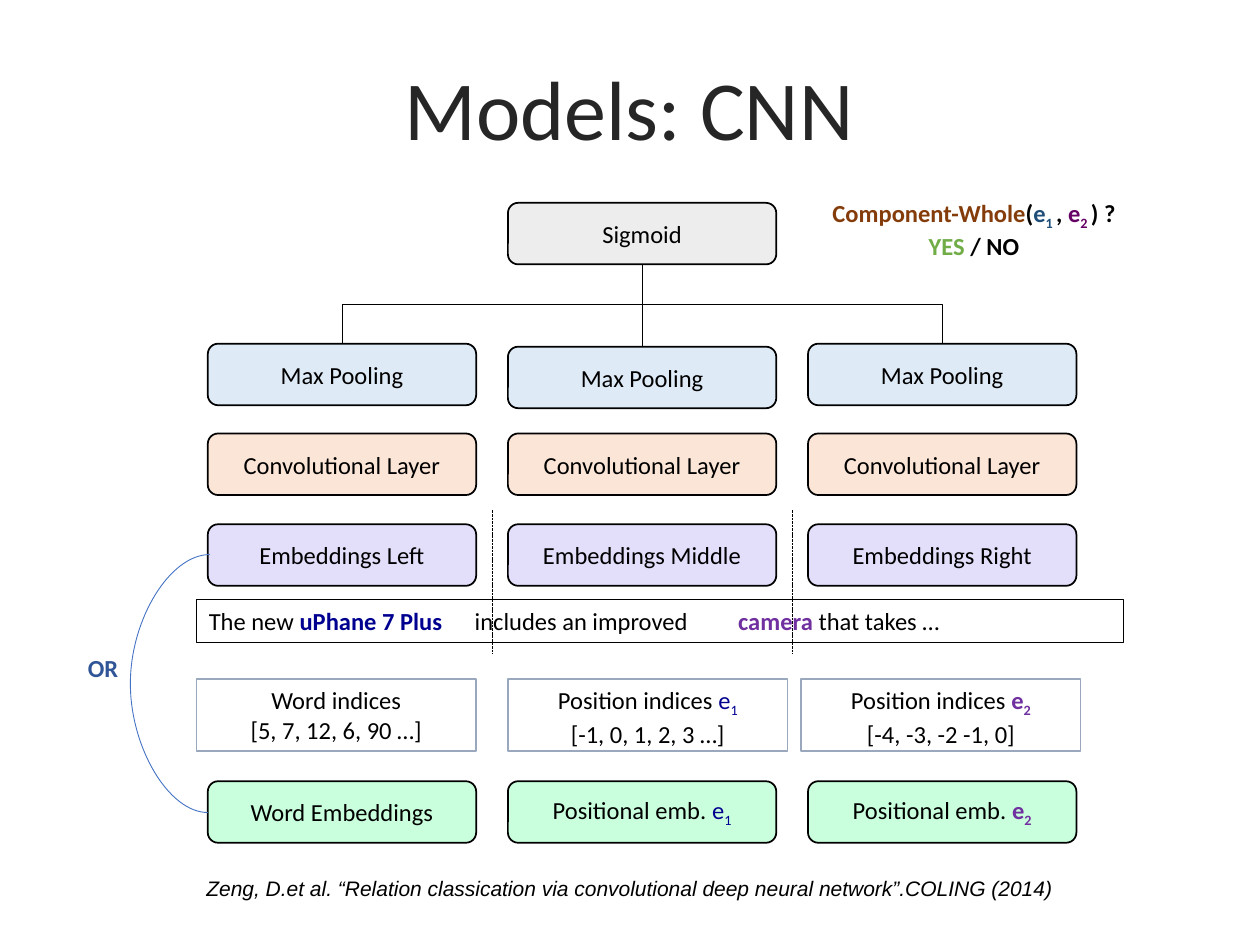
import pptx
import pptx.util
import pptx.dml.color
import pptx.enum.dml
import pptx.enum.shapes
import pptx.enum.text
import pptx.oxml.ns
import pptx.oxml.xmlchemy
import pptx.shapes.connector

Cm = pptx.util.Cm
Pt = pptx.util.Pt
RGB = pptx.dml.color.RGBColor
SHAPE = pptx.enum.shapes.MSO_SHAPE
CONNECTOR = pptx.enum.shapes.MSO_CONNECTOR
ALIGN = pptx.enum.text.PP_ALIGN
ANCHOR = pptx.enum.text.MSO_ANCHOR
qn = pptx.oxml.ns.qn
OxmlElement = pptx.oxml.xmlchemy.OxmlElement

BLACK = RGB(0x00, 0x00, 0x00)
TITLE = RGB(0x26, 0x26, 0x26)
GREY = RGB(0xED, 0xED, 0xED)
PALE_BLUE = RGB(0xDE, 0xEB, 0xF7)
PEACH = RGB(0xFB, 0xE5, 0xD6)
LAVENDER = RGB(0xE3, 0xDF, 0xFB)
MINT = RGB(0xCA, 0xFF, 0xDD)
SLATE = RGB(0x99, 0xA8, 0xBD)
BLUE = RGB(0x44, 0x72, 0xC4)
OR_BLUE = RGB(0x2F, 0x55, 0x97)
NAVY = RGB(0x00, 0x00, 0x90)
PURPLE = RGB(0x70, 0x30, 0xA0)
BROWN = RGB(0x84, 0x3C, 0x0B)
STEEL = RGB(0x1F, 0x4E, 0x79)
PLUM = RGB(0x66, 0x00, 0x66)
GREEN = RGB(0x70, 0xAD, 0x47)

prs = pptx.Presentation()
prs.slide_width, prs.slide_height = Cm(25.4), Cm(19.05)
slide = prs.slides.add_slide(prs.slide_layouts[6])
shapes = slide.shapes


def write(sp, *lines, size=14, font="Calibri", color=BLACK, bold=False, italic=False,
          align=ALIGN.CENTER, anchor=ANCHOR.TOP, wrap=True, tabs=()):
    """Fill sp with lines; a line is a string or a list of (text, format changes)."""
    tf = sp.text_frame
    tf.word_wrap = wrap
    tf.vertical_anchor = anchor
    for i, line in enumerate(lines):
        p = tf.paragraphs[0] if i == 0 else tf.add_paragraph()
        p.alignment = align
        if tabs:
            tab_list = OxmlElement("a:tabLst")
            p._p.get_or_add_pPr().append(tab_list)
            for pos in tabs:
                tab = OxmlElement("a:tab")
                tab.set("pos", str(Cm(pos)))
                tab.set("algn", "l")
                tab_list.append(tab)
        for text, change in [(line, {})] if isinstance(line, str) else line:
            r = p.add_run()
            r.text = text
            r.font.name, r.font.size, r.font.italic = font, Pt(size), italic
            r.font.bold = change.get("bold", bold)
            r.font.color.rgb = change.get("color", color)
            if change.get("sub"):
                r._r.get_or_add_rPr().set("baseline", "-25000")


def style(sp, line, width, fill=None):
    """Set outline and fill, and take the theme shadow off a shape or connector."""
    sp.line.color.rgb = line
    sp.line.width = Pt(width)
    if isinstance(sp, pptx.shapes.connector.Connector):
        sp._element.spPr.append(OxmlElement("a:effectLst"))
        return
    sp.shadow.inherit = False
    if fill is None:
        sp.fill.background()
    else:
        sp.fill.solid()
        sp.fill.fore_color.rgb = fill


e1 = [("e", {"color": NAVY}), ("1", {"color": NAVY, "sub": True})]
e2 = [("e", {"color": PURPLE, "bold": True}),
      ("2", {"color": PURPLE, "bold": True, "sub": True})]

# Network layers, three columns each
LEFT, PITCH, BOX_W, BOX_H = 4.19, 6.05, 5.41, 1.24
SIGMOID_Y, POOL_Y = 4.09, 6.93
layers = [
    (10.57, LAVENDER, ["Embeddings Left", "Embeddings Middle", "Embeddings Right"]),
    (8.74, PEACH, ["Convolutional Layer"] * 3),
    (POOL_Y, PALE_BLUE, ["Max Pooling"] * 3),
    (SIGMOID_Y, GREY, [None, "Sigmoid", None]),
    (15.75, MINT, ["Word Embeddings", [("Positional emb. ", {})] + e1,
                   [("Positional emb. ", {})] + e2]),
]
boxes = {}
for y, fill, labels in layers:
    for col, label in enumerate(labels):
        if label is None:
            continue
        top = y + 0.06 if (y, col) == (POOL_Y, 1) else y
        sp = shapes.add_shape(SHAPE.ROUNDED_RECTANGLE, Cm(LEFT + col * PITCH), Cm(top),
                              Cm(BOX_W), Cm(BOX_H))
        style(sp, BLACK, 1, fill)
        write(sp, label, anchor=ANCHOR.MIDDLE)
        boxes[y, col] = sp

# Pooling to sigmoid: elbows are laid out sideways, then turned upright
gap = POOL_Y - SIGMOID_Y - BOX_H
mid_y = POOL_Y - gap / 2
sigmoid_x = LEFT + PITCH + BOX_W / 2
for side, angle in ((-1, 90), (1, 270)):
    mid_x = sigmoid_x + side * PITCH / 2
    cx = shapes.add_connector(CONNECTOR.ELBOW,
                              Cm(mid_x - side * gap / 2), Cm(mid_y + PITCH / 2),
                              Cm(mid_x + side * gap / 2), Cm(mid_y - PITCH / 2))
    cx._element.spPr.find(qn("a:xfrm")).set("rot", str(angle * 60000))
    style(cx, BLACK, 0.5)
cx = shapes.add_connector(CONNECTOR.STRAIGHT, 0, 0, 0, 0)
cx.begin_connect(boxes[POOL_Y, 1], 0)
cx.end_connect(boxes[SIGMOID_Y, 1], 2)
style(cx, BLACK, 0.5)

# Input indices
indices = [
    (3.96, "Word indices", "[5, 7, 12, 6, 90 …]"),
    (10.24, [("Position indices ", {})] + e1, "[-1, 0, 1, 2, 3 …]"),
    (16.15, [("Position indices ", {})] + e2, "[-4, -3, -2 -1, 0]"),
]
for x, heading, values in indices:
    sp = shapes.add_shape(SHAPE.RECTANGLE, Cm(x), Cm(13.69), Cm(5.64), Cm(1.45))
    style(sp, SLATE, 0.75)
    write(sp, heading, values)

# Dividers between the three parts of the sentence
for col in (1, 2):
    x = Cm(LEFT + col * PITCH - (PITCH - BOX_W) / 2)
    cx = shapes.add_connector(CONNECTOR.STRAIGHT, x, Cm(10.29), x, Cm(13.18))
    style(cx, BLACK, 0.5)
    cx.line.dash_style = pptx.enum.dml.MSO_LINE.SQUARE_DOT

# Curve joining the two alternative embeddings
CURVE_W, BULGE = 0.04, 1.6
cx = shapes.add_connector(CONNECTOR.CURVE, Cm(LEFT + CURVE_W), Cm(11.18), Cm(LEFT), Cm(16.38))
guide = OxmlElement("a:gd")
guide.set("name", "adj1")
guide.set("fmla", f"val {round(BULGE / CURVE_W * 100000)}")
cx._element.spPr.find(qn("a:prstGeom")).get_or_add_avLst().append(guide)
style(cx, BLUE, 0.5)

tb = shapes.add_textbox(Cm(1.52), Cm(13.03), Cm(2.41), Cm(0.99))
write(tb, "OR", color=OR_BLUE, bold=True, align=ALIGN.LEFT, wrap=False)

tb = shapes.add_textbox(Cm(15.95), Cm(3.86), Cm(7.37), Cm(2.06))
write(tb,
      [("Component-Whole", {"color": BROWN}), ("(", {}),
       ("e", {"color": STEEL}), ("1 ", {"color": STEEL, "sub": True}), (", ", {}),
       ("e", {"color": PLUM}), ("2 ", {"color": PLUM, "sub": True}), (") ?", {})],
      [("YES", {"color": GREEN}), (" / NO", {})], bold=True)

sp = shapes.add_shape(SHAPE.RECTANGLE, Cm(3.96), Cm(12.09), Cm(18.69), Cm(0.86))
style(sp, BLACK, 0.75)
write(sp, [("The new ", {}), ("uPhane 7 Plus", {"color": NAVY, "bold": True}),
           ("\tincludes an improved\t", {}), ("camera ", {"color": PURPLE, "bold": True}),
           ("that takes …", {})], align=ALIGN.LEFT, tabs=(5.36, 10.67))

tb = shapes.add_textbox(Cm(1.52), Cm(0.51), Cm(22.33), Cm(3.3))
write(tb, "Models: CNN", size=48, color=TITLE, anchor=ANCHOR.MIDDLE)

tb = shapes.add_textbox(Cm(3.91), Cm(17.53), Cm(17.6), Cm(0.76))
write(tb, "Zeng, D.et al. “Relation classication via convolutional deep neural network”."
      "COLING (2014)", size=12, font="Arial", italic=True, align=ALIGN.LEFT)

prs.save("out.pptx")
